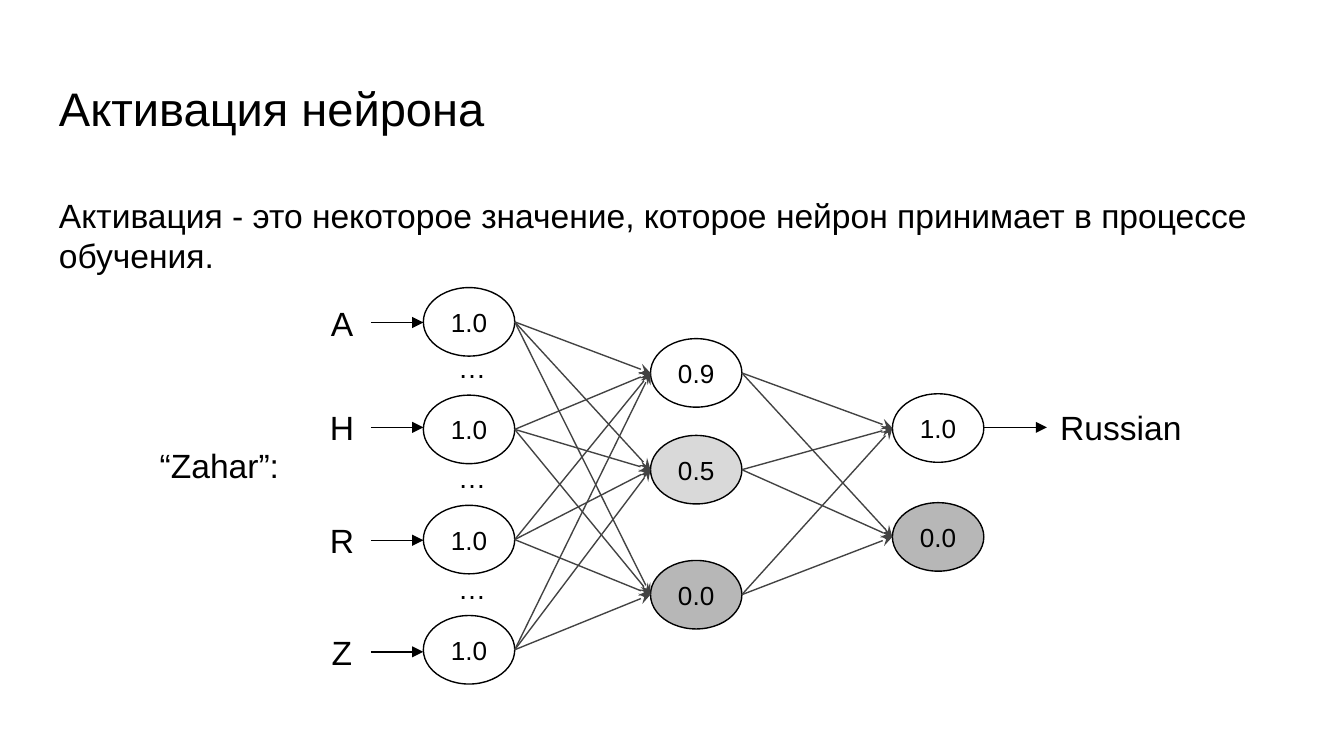
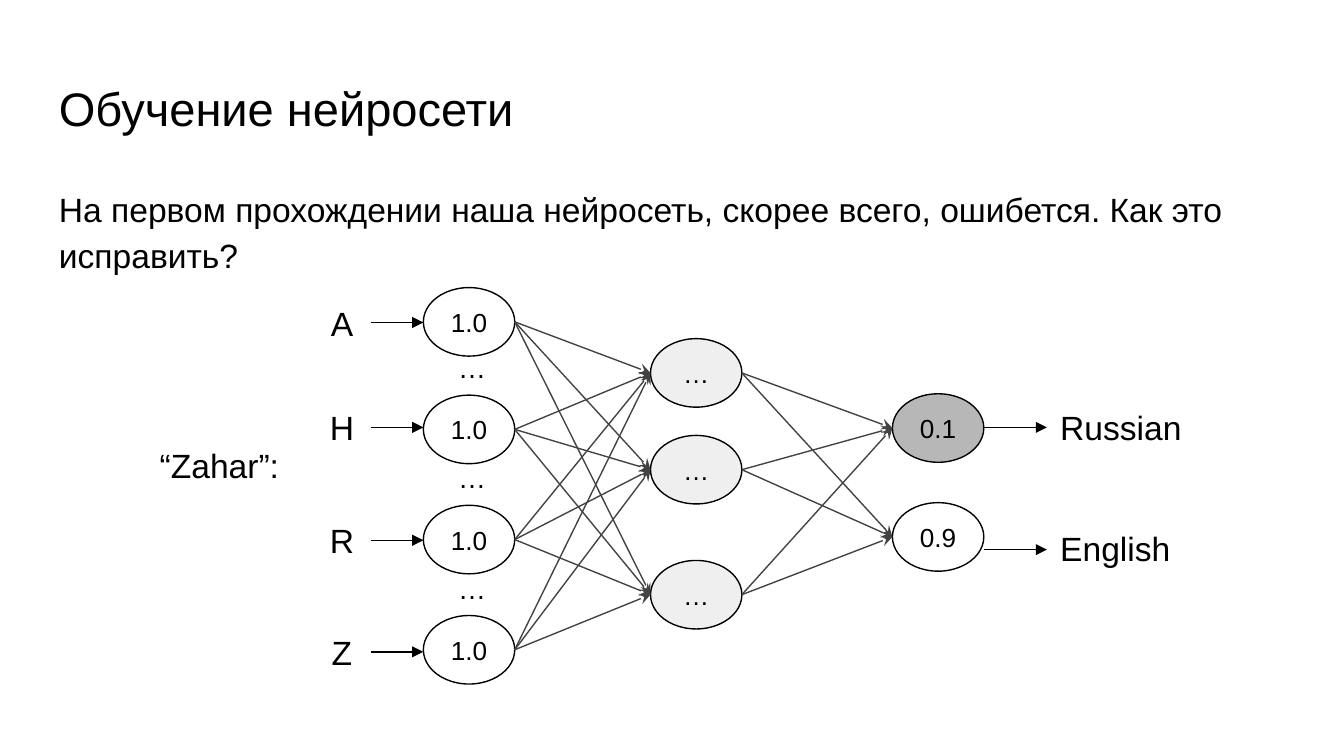
from itertools import pairwise, product

from lxml import etree
from pptx import Presentation
from pptx.dml.color import RGBColor
from pptx.enum.shapes import MSO_CONNECTOR, MSO_SHAPE
from pptx.enum.text import MSO_ANCHOR, PP_ALIGN
from pptx.oxml.ns import qn
from pptx.util import Inches, Pt

STRAIGHT, OVAL = MSO_CONNECTOR.STRAIGHT, MSO_SHAPE.OVAL
LEFT, CENTER = PP_ALIGN.LEFT, PP_ALIGN.CENTER
TOP, MIDDLE = MSO_ANCHOR.TOP, MSO_ANCHOR.MIDDLE

SLIDE_WIDTH = 10
SLIDE_HEIGHT = SLIDE_WIDTH * 9 / 16
FONT = "Arial"
BLACK, WHITE, LINK = "000000", "FFFFFF", "434343"
PALE, LIGHT, DARK = "EFEFEF", "D9D9D9", "B7B7B7"

INPUTS = [("1.0", WHITE)] * 4
SLIDES = [
    {
        "title": "Активация нейрона",
        "text": "Активация - это некоторое значение, которое нейрон принимает в процессе обучения.",
        "text_box": (1.35, 0.92),
        "spacing": (1.0, 0),
        "layers": [
            INPUTS,
            [("0.9", WHITE), ("0.5", LIGHT), ("0.0", DARK)],
            [("1.0", WHITE), ("0.0", DARK)],
        ],
        "answers": ["Russian"],
    },
    {
        "title": "Обучение нейросети",
        "text": "На первом прохождении наша нейросеть, скорее всего, ошибется. Как это исправить?",
        "text_box": (1.26, 3.74),
        "spacing": (1.15, 12),
        "layers": [
            INPUTS,
            [("…", PALE)] * 3,
            [("0.1", DARK), ("0.9", WHITE)],
        ],
        "answers": ["Russian", "English"],
    },
]

WORD = "“Zahar”:"
LETTERS = [("A", 2.19), ("H", 2.97), ("R", 3.81), ("Z", 4.64)]
GAP_TOPS = [2.52, 3.34, 4.17]
LAYER_LEFTS = [3.15, 4.84, 6.64]
LAYER_TOPS = [[2.14, 2.94, 3.76, 4.58], [2.52, 3.24, 4.17], [2.93, 3.74]]
NEURON_WIDTH, NEURON_HEIGHT = 0.68, 0.51
LETTER_LEFT, LETTER_WIDTH, LETTER_HEIGHT = 2.33, 0.43, 0.42
ANSWER_LEFT = 7.79
ANSWER_ROWS = [(2.93, 3.18), (3.83, 4.09)]


def color(value):
    return RGBColor.from_string(value)


def write(shape, text, size, align, anchor, wrap=True):
    frame = shape.text_frame
    frame.word_wrap = wrap
    frame.vertical_anchor = anchor
    frame.margin_left = frame.margin_right = Inches(0.1)
    frame.margin_top = frame.margin_bottom = Inches(0.1)
    para = frame.paragraphs[0]
    para.text = text
    para.alignment = align
    para.font.name = FONT
    para.font.size = Pt(size)
    para.font.color.rgb = color(BLACK)


def add_text(page, area, text, size=18, align=LEFT, anchor=TOP):
    box = page.shapes.add_textbox(*map(Inches, area))
    write(box, text, size, align, anchor)
    return box


def add_neuron(page, left, top, value, fill):
    neuron = page.shapes.add_shape(
        OVAL, *map(Inches, (left, top, NEURON_WIDTH, NEURON_HEIGHT)))
    neuron.shadow.inherit = False
    neuron.fill.solid()
    neuron.fill.fore_color.rgb = color(fill)
    neuron.line.color.rgb = color(BLACK)
    neuron.line.width = Pt(0.75)
    write(neuron, value, 14, CENTER, MIDDLE, wrap=False)


def add_arrow(page, start, end, line_color=BLACK, head="triangle"):
    arrow = page.shapes.add_connector(STRAIGHT, *map(Inches, (*start, *end)))
    arrow.line.color.rgb = color(line_color)
    arrow.line.width = Pt(0.75)
    line = arrow._element.spPr.find(qn("a:ln"))
    etree.SubElement(line, qn("a:tailEnd"), type=head)
    etree.SubElement(arrow._element.spPr, qn("a:effectLst"))
    return arrow


def add_inputs(page):
    add_text(page, (1.09, 3.21, 1.13, 0.5), WORD)
    for top in GAP_TOPS:
        add_text(page, (3.31, top, 0.37, 0.42), "…", 15, CENTER, MIDDLE)
    for letter, top in LETTERS:
        area = (LETTER_LEFT, top, LETTER_WIDTH, LETTER_HEIGHT)
        box = add_text(page, area, letter, 18, CENTER, MIDDLE)
        middle = top + LETTER_HEIGHT / 2
        arrow = add_arrow(page, (LETTER_LEFT + LETTER_WIDTH, middle),
                          (LAYER_LEFTS[0], middle))
        arrow.begin_connect(box, 3)


def add_network(page, layers):
    columns = list(zip(LAYER_LEFTS, LAYER_TOPS))
    for (left, tops), neurons in zip(columns, layers):
        for top, (value, fill) in zip(tops, neurons):
            add_neuron(page, left, top, value, fill)
    for (left, tops), (next_left, next_tops) in pairwise(columns):
        for top, next_top in product(tops, next_tops):
            add_arrow(page, (left + NEURON_WIDTH, top + NEURON_HEIGHT / 2),
                      (next_left, next_top + NEURON_HEIGHT / 2), LINK, "stealth")


def add_answers(page, answers):
    for answer, (top, arrow_y) in zip(answers, ANSWER_ROWS):
        add_arrow(page, (LAYER_LEFTS[-1] + NEURON_WIDTH, arrow_y),
                  (ANSWER_LEFT, arrow_y))
        add_text(page, (ANSWER_LEFT, top, 1.12, 0.37), answer)


def build_slide(deck, content):
    page = deck.slides.add_slide(deck.slide_layouts[6])
    add_text(page, (0.34, 0.49, 9.32, 0.63), content["title"], 25.2)
    top, height = content["text_box"]
    box = add_text(page, (0.34, top, 9.32, height), content["text"])
    para = box.text_frame.paragraphs[0]
    line_spacing, space_after = content["spacing"]
    para.line_spacing = line_spacing
    para.space_after = Pt(space_after)
    add_network(page, content["layers"])
    add_inputs(page)
    add_answers(page, content["answers"])


def main():
    deck = Presentation()
    deck.slide_width, deck.slide_height = Inches(SLIDE_WIDTH), Inches(SLIDE_HEIGHT)
    for content in SLIDES:
        build_slide(deck, content)
    deck.save("out.pptx")


if __name__ == "__main__":
    main()
